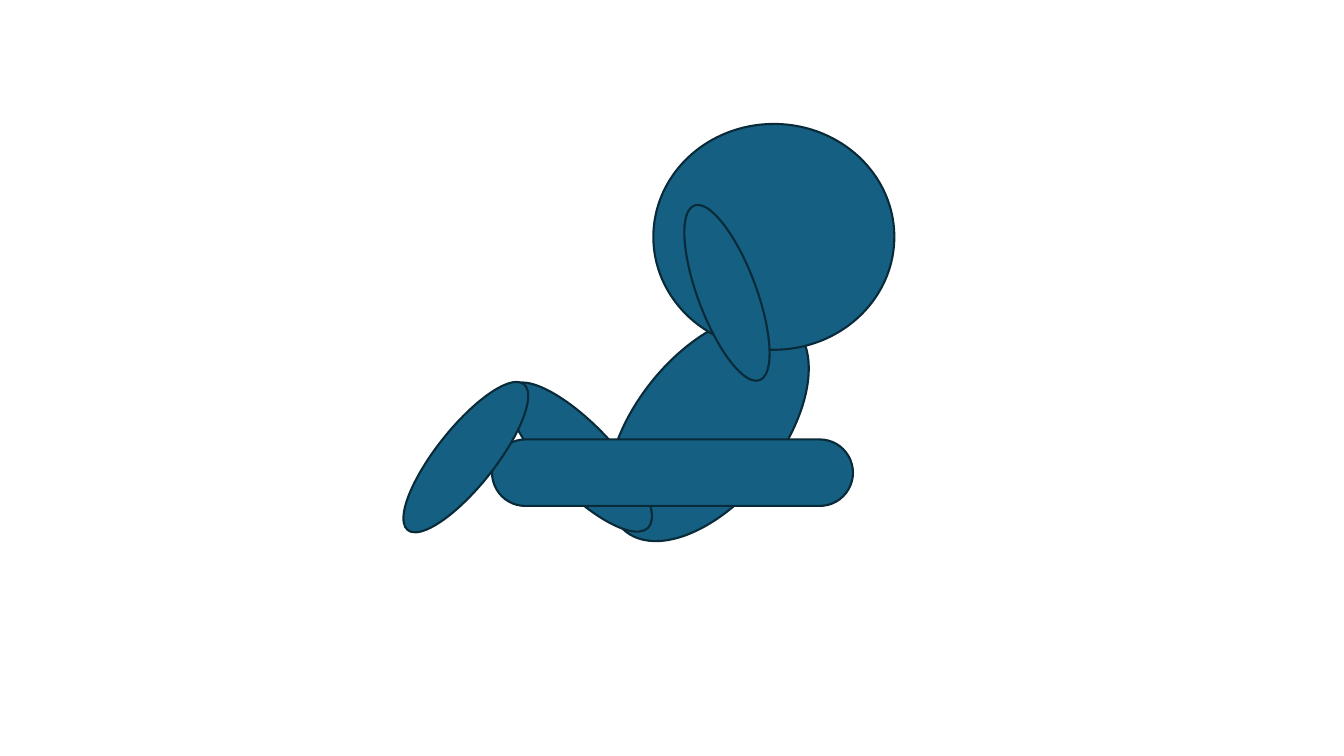
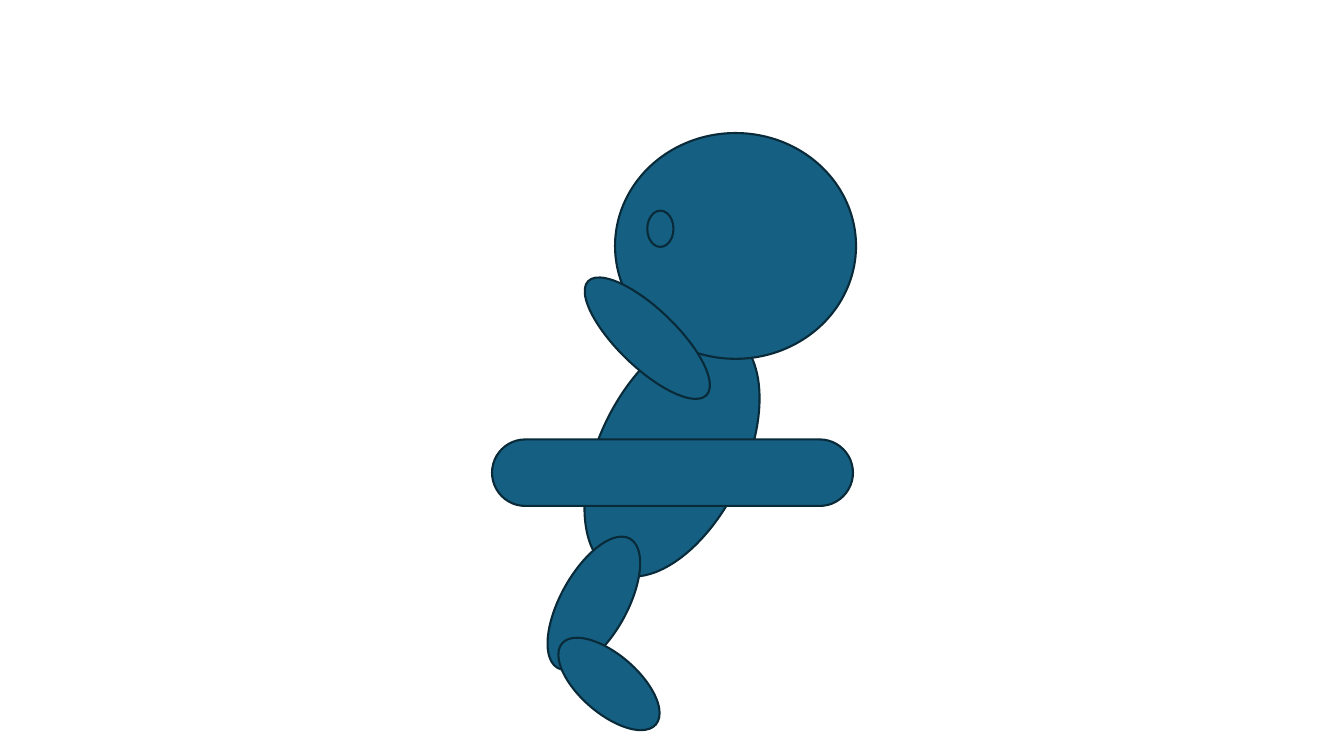
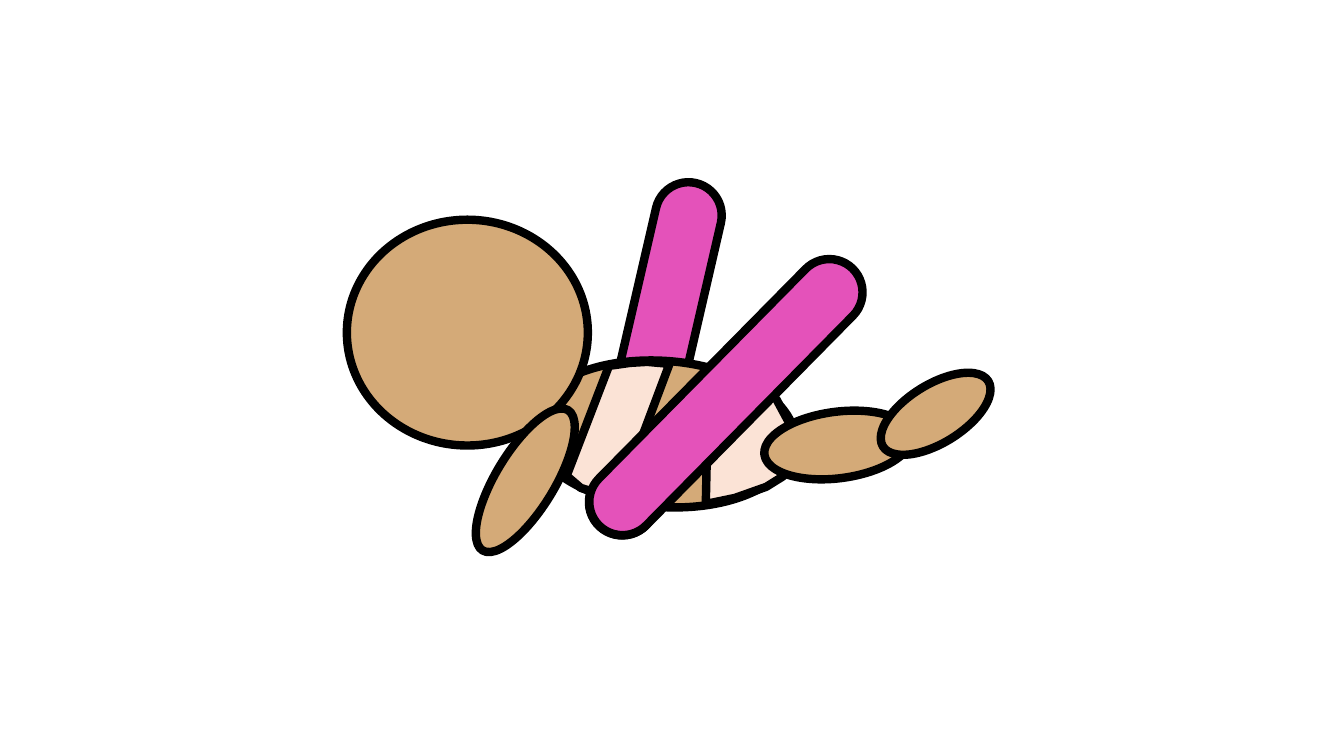
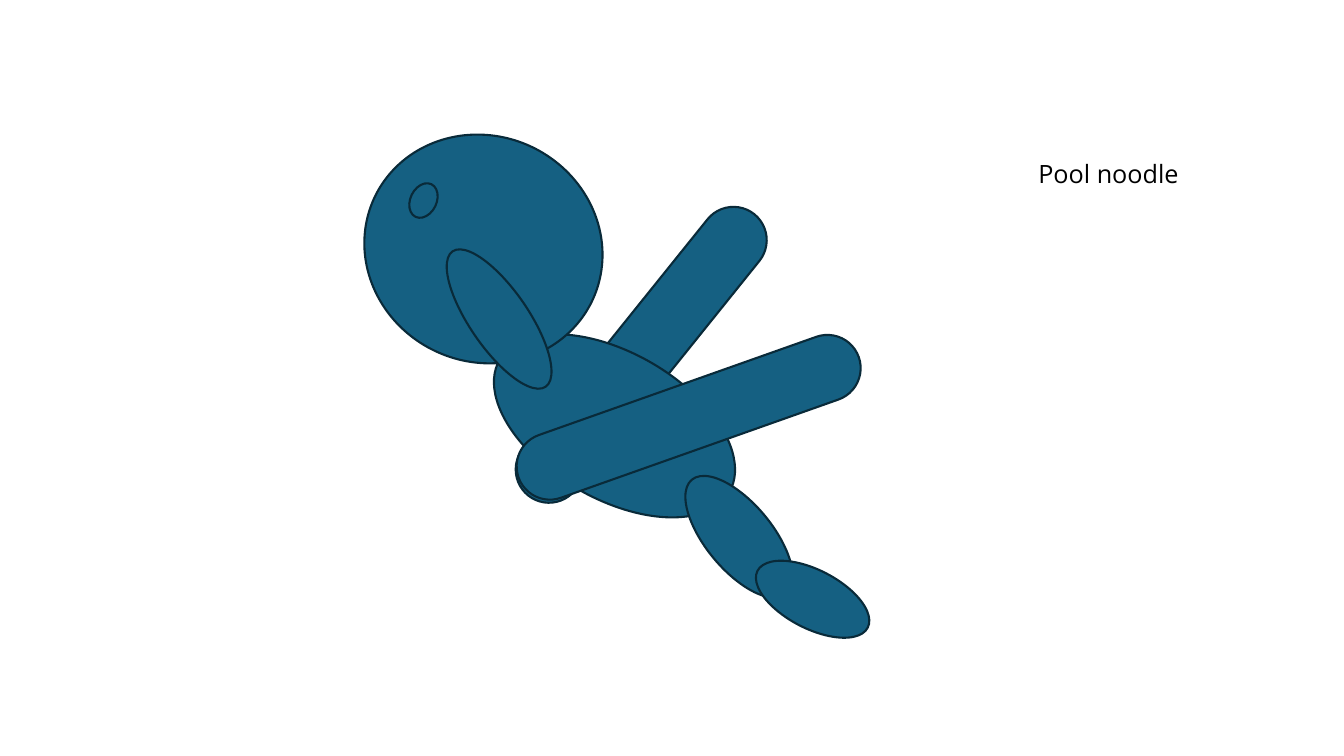
from pptx import Presentation
from pptx.dml.color import RGBColor
from pptx.enum.shapes import MSO_SHAPE as Kind
from pptx.util import Pt

PX = 9144  # 100 px to the inch
BLUE, NAVY = "156082", "092A39"
SKIN, PINK, CREAM, BLACK = "D4AA78", "E452BA", "FBE3D6", "000000"

# Width and height of each part of the swimmer
SIZES = {
    "body": (145, 263),
    "head": (239, 224),
    "eye": (26, 36),
    "arm": (58, 163),
    "thigh": (66, 147),
    "shin": (58, 123),
    "noodle": (358, 66),
    "long arm": (58, 185),
    "long thigh": (66, 195),
    "long shin": (58, 185),
}

# Poses, back to front: part, left, top, turn in degrees
RECLINE = [
    ("body", 630, 293, 38.5),
    ("long thigh", 542, 356, 136.2),
    ("noodle", 488, 436, 0),
    ("long shin", 433, 361, 38.5),
    ("head", 648, 123, 0),
    ("long arm", 692, 198, 159.5),
]
UPRIGHT = [
    ("body", 594, 318, 25.8),
    ("noodle", 488, 436, 0),
    ("head", 610, 132, 0),
    ("thigh", 556, 525, 209.1),
    ("shin", 575, 617, 310.9),
    ("arm", 613, 254, 133.9),
    ("eye", 642, 209, 0),
]
PRONE_BACK = [
    ("noodle", 471, 323, 283),
    ("body", 585, 299, 274.1),
    ("head", 344, 218, 0),
    ("arm", 492, 395, 31.3),
]
PRONE_FRONT = [
    ("noodle", 541, 361, 314.6),
    ("thigh", 798, 368, 82.5),
    ("shin", 899, 349, 238.2),
]
LEAN = [
    ("noodle", 457, 319, 308.8),
    ("body", 537, 291, 299.9),
    ("noodle", 504, 381, 340.5),
    ("head", 360, 135, 25.9),
    ("thigh", 700, 459, 140.4),
    ("shin", 777, 533, 297.3),
    ("arm", 466, 235, 145.5),
    ("eye", 407, 181, 25.9),
]

# Outlines of the swimsuit
BOTTOM = [(703, 366), (735, 378), (770, 396), (784, 422), (789, 435), (791, 451),
          (788, 461), (776, 473), (760, 483), (729, 494), (700, 500)]
TOP = [(604, 363), (562, 472), (576, 484), (605, 493), (614, 494),
       (664, 361), (642, 359), (625, 360)]


def color(code):
    return RGBColor.from_string(code)


def paint(shape, fill, line, width):
    shape.shadow.inherit = False
    shape.fill.solid()
    shape.fill.fore_color.rgb = color(fill)
    shape.line.color.rgb = color(line)
    shape.line.width = Pt(width)


def pose(shapes, parts, skin=BLUE, foam=BLUE, line=NAVY, width=1.5):
    for name, left, top, turn in parts:
        wide, high = SIZES[name]
        is_foam = name == "noodle"
        kind = Kind.ROUNDED_RECTANGLE if is_foam else Kind.OVAL
        shape = shapes.add_shape(kind, left * PX, top * PX, wide * PX, high * PX)
        if is_foam:
            shape.adjustments[0] = 0.5
        shape.rotation = turn
        paint(shape, foam if is_foam else skin, line, width)


def patch(shapes, points):
    pen = shapes.build_freeform(*points[0], scale=PX)
    pen.add_line_segments(points[1:], close=True)
    paint(pen.convert_to_shape(), CREAM, BLACK, 6)


def label(shapes, text, left, top, wide, high):
    frame = shapes.add_textbox(left * PX, top * PX, wide * PX, high * PX).text_frame
    frame.word_wrap = True
    para = frame.paragraphs[0]
    para.text = text
    para.font.name = "Open Sans"
    para.font.size = Pt(18)
    para.font.color.rgb = color(BLACK)


def main():
    deck = Presentation()
    deck.slide_width, deck.slide_height = 1333 * PX, 750 * PX
    blank = deck.slide_layouts[6]
    first, second, third, fourth = (
        deck.slides.add_slide(blank).shapes for _ in range(4))

    # Single-colour sketches
    pose(first, RECLINE)
    pose(second, UPRIGHT)

    # Coloured swimmer, kept as one group
    group = third.add_group_shape().shapes
    tones = (SKIN, PINK, BLACK, 6)
    pose(group, PRONE_BACK, *tones)
    for points in (BOTTOM, TOP):
        patch(group, points)
    pose(group, PRONE_FRONT, *tones)

    # Sketch with its label
    pose(fourth, LEAN)
    label(fourth, "Pool noodle", 1020, 152, 213, 40)

    deck.save("out.pptx")


if __name__ == "__main__":
    main()
